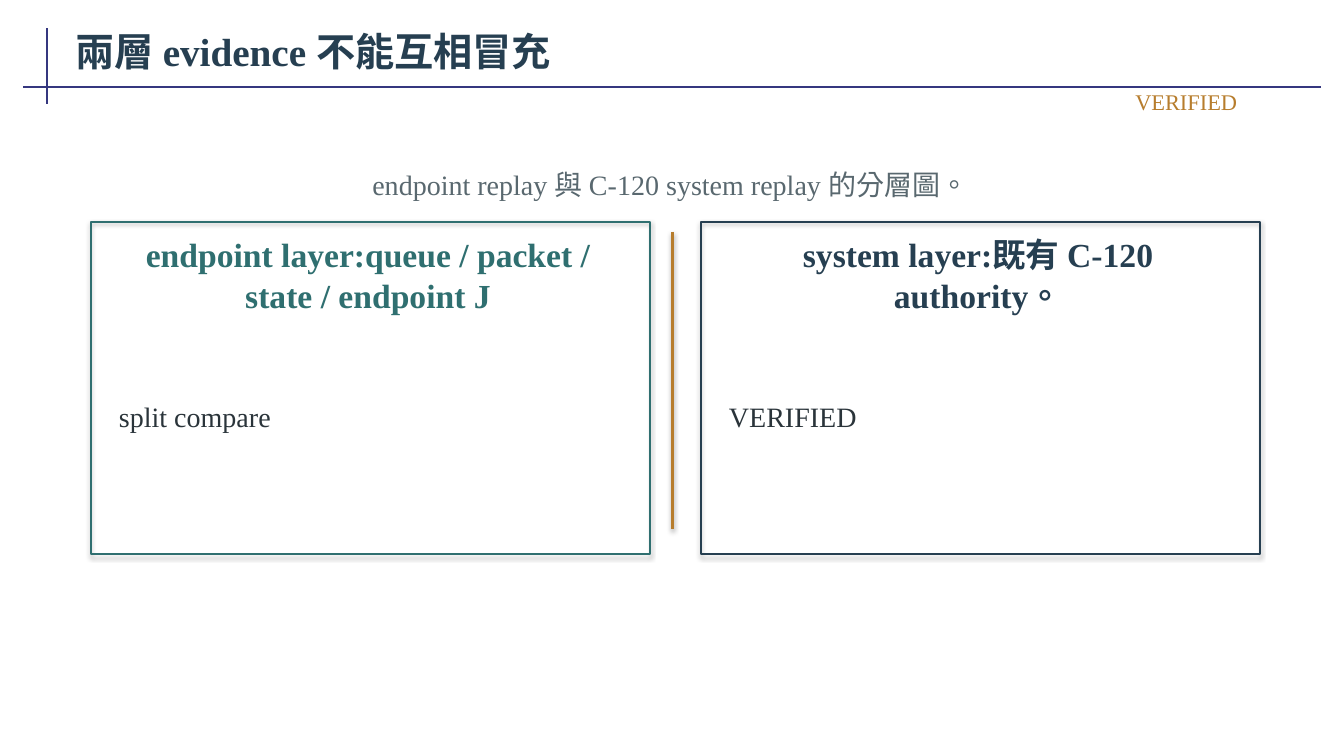
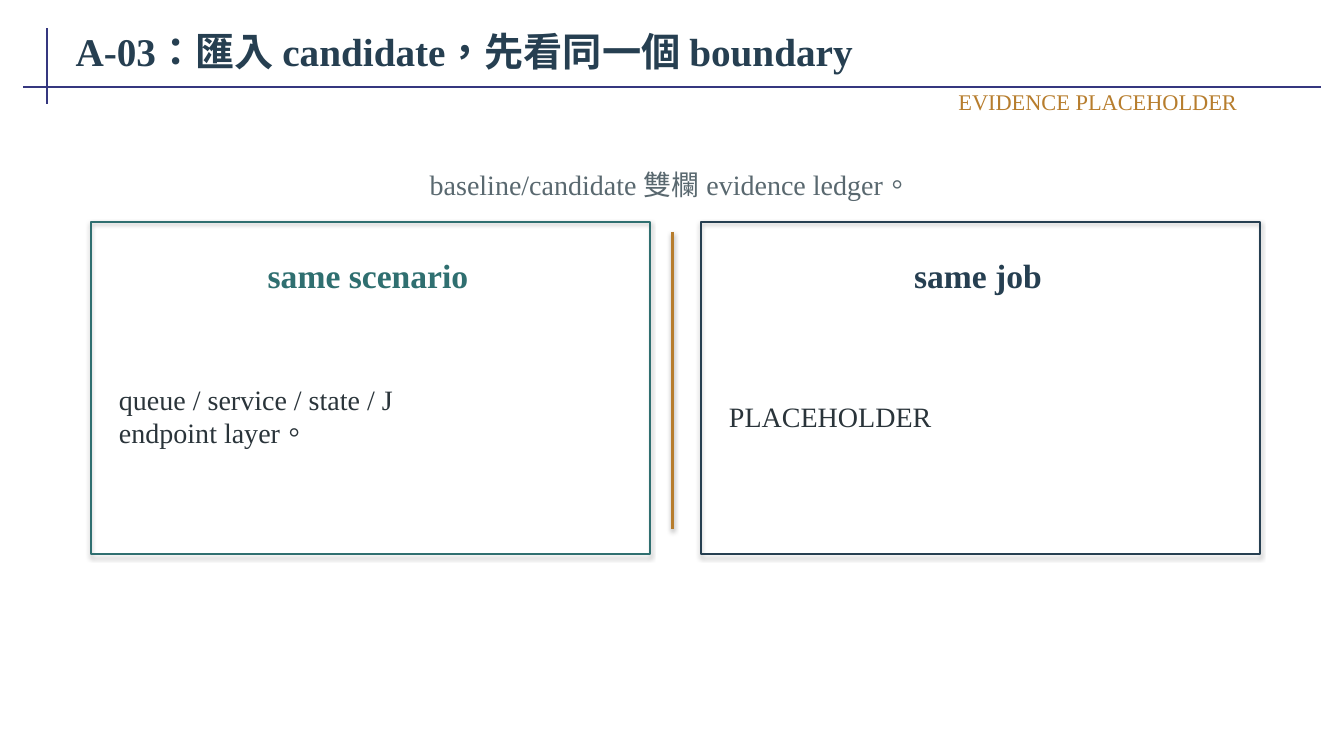
from dataclasses import dataclass

import pptx
import pptx.dml.color
import pptx.enum.lang
import pptx.enum.shapes
import pptx.enum.text
import pptx.oxml
import pptx.oxml.ns
import pptx.slide
import pptx.util
from pptx.util import Inches

FONT = "Times New Roman"
COLORS = {
    "rule": "35377F",
    "navy": "263F51",
    "teal": "2F6F70",
    "amber": "B77D2D",
    "caption": "59686F",
    "body": "2A343A",
}
ALIGN = pptx.enum.text.PP_ALIGN


@dataclass(frozen=True)
class TextStyle:
    size: int
    color: str
    align: ALIGN = ALIGN.LEFT
    bold: bool = False


@dataclass(frozen=True)
class Panel:
    heading: str
    body: str


@dataclass(frozen=True)
class Comparison:
    title: str
    status: str
    caption: str
    panels: tuple[Panel, Panel]


# Shared styles and panel grid
TITLE = TextStyle(28, "navy", bold=True)
STATUS = TextStyle(16, "amber", ALIGN.RIGHT)
CAPTION = TextStyle(20, "caption", ALIGN.CENTER)
BODY = TextStyle(20, "body")
PANEL_COLORS = ("teal", "navy")
PANEL_LEFT, PANEL_TOP, PANEL_WIDTH, PANEL_HEIGHT, PANEL_GAP = 0.9, 2.2, 5.55, 3.3, 0.5

COMPARISONS = (
    Comparison(
        "兩層 evidence 不能互相冒充",
        "VERIFIED",
        "endpoint replay 與 C-120 system replay 的分層圖。",
        (
            Panel("endpoint layer:queue / packet / state / endpoint J", "split compare"),
            Panel("system layer:既有 C-120 authority。", "VERIFIED"),
        ),
    ),
    Comparison(
        "A-03：匯入 candidate，先看同一個 boundary",
        "EVIDENCE PLACEHOLDER",
        "baseline/candidate 雙欄 evidence ledger。",
        (
            Panel("same scenario", "queue / service / state / J\nendpoint layer。"),
            Panel("same job", "PLACEHOLDER"),
        ),
    ),
)


def rgb(name: str) -> pptx.dml.color.RGBColor:
    return pptx.dml.color.RGBColor.from_string(COLORS[name])


def add_text(page: pptx.slide.Slide, text: str, style: TextStyle,
             left: float, top: float, width: float, height: float) -> None:
    box = page.shapes.add_textbox(Inches(left), Inches(top), Inches(width), Inches(height))
    frame = box.text_frame
    frame.word_wrap = True
    frame.vertical_anchor = pptx.enum.text.MSO_ANCHOR.MIDDLE
    frame.margin_left = frame.margin_right = Inches(0.08)
    frame.margin_top = frame.margin_bottom = Inches(0.04)
    para = frame.paragraphs[0]
    para.alignment = style.align
    for index, line in enumerate(text.split("\n")):
        if index:
            para.add_line_break()
        span = para.add_run()
        span.text = line
        span.font.name = FONT
        span.font.size = pptx.util.Pt(style.size)
        span.font.bold = style.bold
        span.font.color.rgb = rgb(style.color)
        span.font.language_id = pptx.enum.lang.MSO_LANGUAGE_ID.TRADITIONAL_CHINESE


def add_line(page: pptx.slide.Slide, start: tuple[float, float], end: tuple[float, float],
             color: str, width: float, shadow: bool = False) -> None:
    line = page.shapes.add_connector(
        pptx.enum.shapes.MSO_CONNECTOR.STRAIGHT,
        Inches(start[0]), Inches(start[1]), Inches(end[0]), Inches(end[1]))
    line.line.color.rgb = rgb(color)
    line.line.width = pptx.util.Pt(width)
    if not shadow:
        properties = line.element.find(pptx.oxml.ns.qn("p:spPr"))
        properties.append(pptx.oxml.parse_xml(
            f'<a:effectLst {pptx.oxml.ns.nsdecls("a")}/>'))


def add_panel(page: pptx.slide.Slide, panel: Panel, left: float, color: str) -> None:
    # The theme's soft shadow is kept on the frame
    frame = page.shapes.add_shape(
        pptx.enum.shapes.MSO_SHAPE.RECTANGLE,
        Inches(left), Inches(PANEL_TOP), Inches(PANEL_WIDTH), Inches(PANEL_HEIGHT))
    frame.fill.background()
    frame.line.color.rgb = rgb(color)
    frame.line.width = pptx.util.Pt(1.2)
    heading = TextStyle(24, color, ALIGN.CENTER, bold=True)
    add_text(page, panel.heading, heading, left + 0.15, PANEL_TOP + 0.2, 5.2, 0.65)
    add_text(page, panel.body, BODY, left + 0.2, PANEL_TOP + 0.95, 5.1, 1.95)


def add_header(page: pptx.slide.Slide, title: str, status: str) -> None:
    add_line(page, (0.47, 0.28), (0.47, 1.03), "rule", 1.5)
    add_line(page, (0.23, 0.86), (13.1, 0.86), "rule", 1.5)
    add_text(page, title, TITLE, 0.67, 0.19, 12, 0.63)
    add_text(page, status, STATUS, 9.15, 0.86, 3.2, 0.3)


def add_comparison(deck: pptx.presentation.Presentation, content: Comparison) -> None:
    page = deck.slides.add_slide(deck.slide_layouts[6])
    add_header(page, content.title, content.status)
    add_text(page, content.caption, CAPTION, PANEL_LEFT, 1.55, 11.5, 0.55)
    # Two panels with a divider between them
    for index, (panel, color) in enumerate(zip(content.panels, PANEL_COLORS)):
        add_panel(page, panel, PANEL_LEFT + index * (PANEL_WIDTH + PANEL_GAP), color)
    add_line(page, (6.67, 2.3), (6.67, 5.25), "amber", 1.8, shadow=True)


def main() -> None:
    deck = pptx.Presentation()
    deck.slide_width, deck.slide_height = Inches(13.33), Inches(7.5)
    for content in COMPARISONS:
        add_comparison(deck, content)
    deck.save("out.pptx")


if __name__ == "__main__":
    main()
